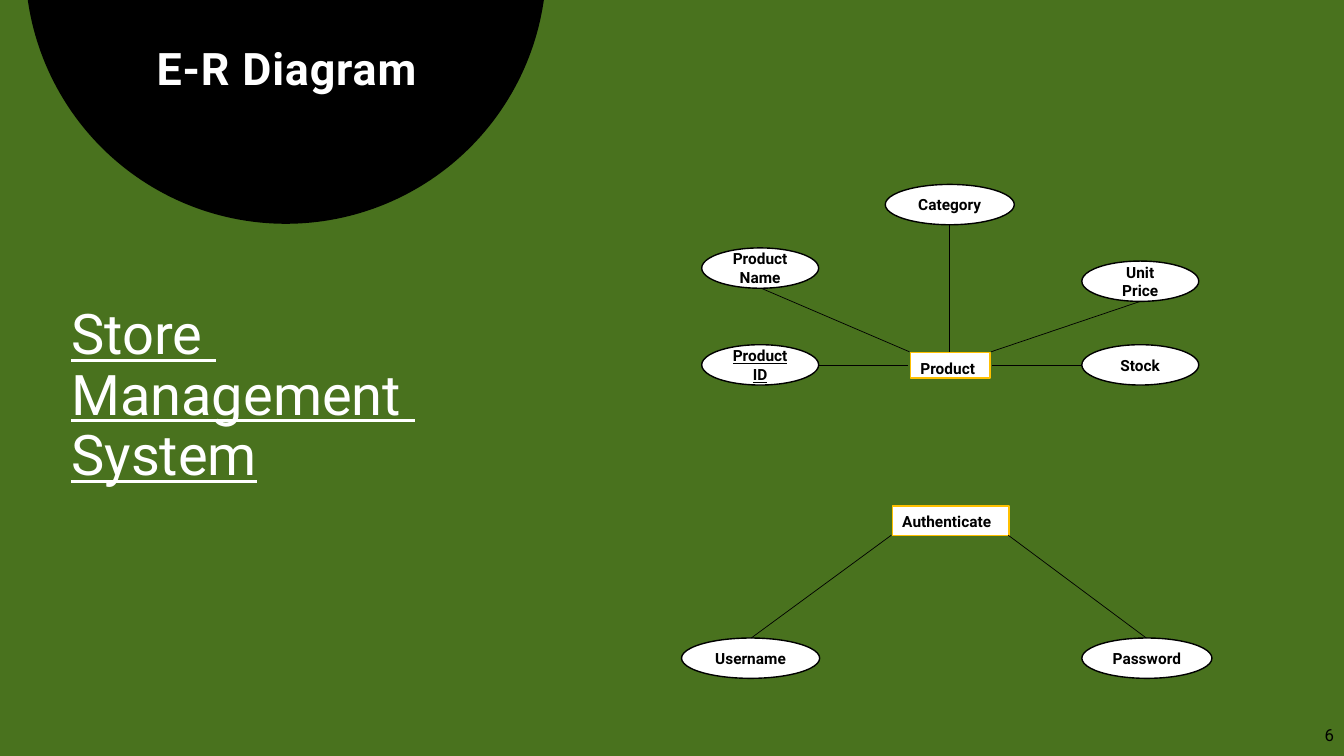
from lxml import etree
from pptx import Presentation
from pptx import util as u
from pptx.dml.color import RGBColor
from pptx.enum import shapes, text
from pptx.oxml.ns import qn

GREEN, BLACK, WHITE, AMBER = "49721E", "000000", "FFFFFF", "FFC000"
LEFT, CENTER, RIGHT = text.PP_ALIGN.LEFT, text.PP_ALIGN.CENTER, text.PP_ALIGN.RIGHT
TOP, MIDDLE = text.MSO_ANCHOR.TOP, text.MSO_ANCHOR.MIDDLE


def color(value):
    return RGBColor.from_string(value)


def write(shape, words, size=11, fill=BLACK, bold=False, underline=False, align=LEFT,
          anchor=TOP, line_spacing=None, after=None, tracking=None, wrap=True,
          insets=(0.1, 0.05, 0.1, 0.05)):
    frame = shape.text_frame
    frame.word_wrap = wrap
    frame.vertical_anchor = anchor
    (frame.margin_left, frame.margin_top,
     frame.margin_right, frame.margin_bottom) = map(u.Inches, insets)
    paragraph = frame.paragraphs[0]
    paragraph.text = words
    paragraph.alignment = align
    if line_spacing:
        paragraph.line_spacing = line_spacing
    if after:
        paragraph.space_after = u.Pt(after)
    for run in paragraph.runs:
        run.font.name = "Roboto"
        run.font.size = u.Pt(size)
        run.font.bold = bold
        run.font.underline = underline
        run.font.color.rgb = color(fill)
        if tracking:
            run._r.get_or_add_rPr().set("spc", str(int(tracking * 100)))


class DiagramSlide:
    def __init__(self, presentation):
        self.slide = presentation.slides.add_slide(presentation.slide_layouts[6])
        background = self.slide.background.fill
        background.solid()
        background.fore_color.rgb = color(GREEN)

    def shape(self, kind, box, fill, outline=None):
        shape = self.slide.shapes.add_shape(kind, *map(u.Inches, box))
        shape.shadow.inherit = False
        shape.fill.solid()
        shape.fill.fore_color.rgb = color(fill)
        if outline:
            shape.line.color.rgb = color(outline)
            shape.line.width = u.Pt(1)
        else:
            shape.line.fill.background()
        return shape

    def textbox(self, box, words, **style):
        write(self.slide.shapes.add_textbox(*map(u.Inches, box)), words, **style)

    def entity(self, box, name):
        shape = self.shape(shapes.MSO_SHAPE.RECTANGLE, box, WHITE, AMBER)
        write(shape, name, bold=True, line_spacing=1.07, after=8)

    def attribute(self, left, top, width, name, key=False):
        shape = self.shape(shapes.MSO_SHAPE.OVAL, (left, top, width, 0.4), WHITE, BLACK)
        write(shape, name, bold=True, underline=key, align=CENTER, anchor=MIDDLE)

    def link(self, start, end):
        connector = self.slide.shapes.add_connector(
            shapes.MSO_CONNECTOR.STRAIGHT, *map(u.Inches, start + end))
        connector.line.color.rgb = color(BLACK)
        connector.line.width = u.Pt(0.5)
        etree.SubElement(connector._element.spPr, qn("a:effectLst"))


def main():
    presentation = Presentation()
    presentation.slide_width = u.Inches(13.33)
    presentation.slide_height = u.Inches(7.5)
    diagram = DiagramSlide(presentation)

    # Headings and page number
    diagram.shape(shapes.MSO_SHAPE.OVAL, (0.25, -2.95, 5.17, 5.17), BLACK)
    diagram.textbox((0.61, 2.99, 4.74, 1.92), "Store \vManagement \vSystem",
                    size=40, fill=WHITE, underline=True, line_spacing=0.9)
    diagram.textbox((0.61, 0, 4.47, 1), "E-R Diagram", size=32, fill=WHITE, bold=True,
                    align=CENTER, line_spacing=0.9, tracking=0.6,
                    insets=(0.16, 0.46, 0.16, 0.05))
    diagram.textbox((12.76, 7.09, 0.57, 0.4), "6", size=12, align=RIGHT,
                    anchor=MIDDLE, wrap=False)

    # Entities
    diagram.entity((9.03, 3.5, 0.79, 0.25), "Product")
    diagram.entity((8.85, 5.02, 1.16, 0.29), "Authenticate")

    # Attributes
    for left, top, width, name in (
            (10.73, 3.42, 1.16, "Stock"),
            (8.78, 1.83, 1.28, "Category"),
            (6.96, 2.46, 1.16, "Product Name"),
            (10.73, 2.59, 1.16, "Unit Price"),
            (10.73, 6.33, 1.29, "Password"),
            (6.76, 6.33, 1.37, "Username")):
        diagram.attribute(left, top, width, name)
    diagram.attribute(6.96, 3.42, 1.16, "Product ID", key=True)

    # Links between entities and attributes
    for start, end in (
            ((9.84, 3.62), (10.73, 3.62)),
            ((8.12, 3.62), (9.01, 3.62)),
            ((9.42, 2.23), (9.42, 3.49)),
            ((7.55, 2.86), (9.02, 3.49)),
            ((11.31, 2.99), (9.83, 3.49)),
            ((8.84, 5.31), (7.45, 6.33)),
            ((10, 5.31), (11.37, 6.33))):
        diagram.link(start, end)

    presentation.save("out.pptx")


if __name__ == "__main__":
    main()
